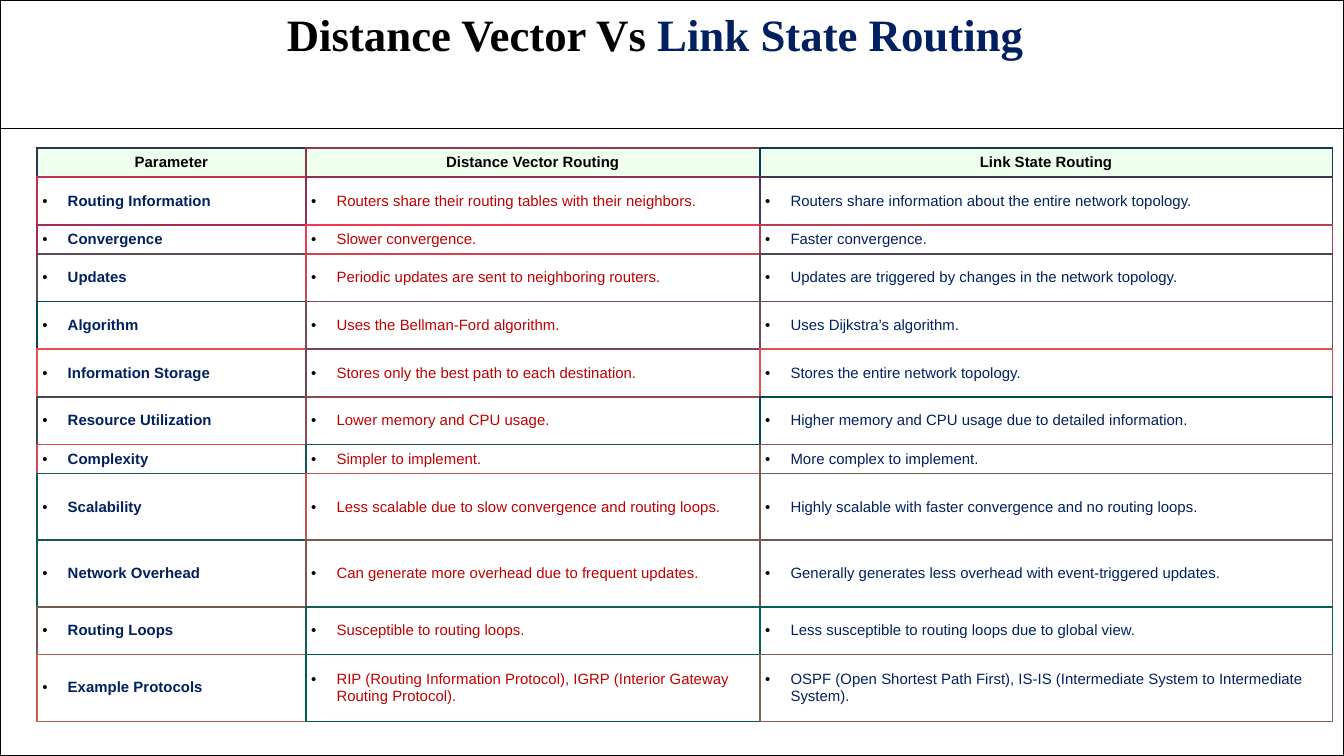
from dataclasses import dataclass

from lxml import etree
from pptx import Presentation
from pptx.dml.color import RGBColor
from pptx.enum.shapes import MSO_CONNECTOR, MSO_SHAPE
from pptx.enum.text import MSO_ANCHOR, PP_ALIGN
from pptx.oxml.ns import qn
from pptx.util import Cm, Pt

CENTER = PP_ALIGN.CENTER
MIDDLE = MSO_ANCHOR.MIDDLE
RECT = MSO_SHAPE.RECTANGLE
STRAIGHT = MSO_CONNECTOR.STRAIGHT

BLACK, WHITE, NAVY, RED, MINT = "000000", "FFFFFF", "002060", "C00000", "EEFFEE"
WIDTH, HEIGHT = Cm(25.4), Cm(14.29)
COL_WIDTHS = (5.08, 8.58, 10.82)
COL_COLORS = (NAVY, RED, NAVY)
SHORT, MEDIUM, TALL = 0.55, 0.9, 1.26
INNER_PT, OUTER_PT = 1, 0.6


@dataclass
class Row:
    height: float
    borders: tuple[str, str, str]  # left and top edge colour of each cell
    texts: tuple[str, str, str]


ROWS = [
    Row(SHORT, ("303352", "903652", "103852"),
        ("Parameter", "Distance Vector Routing", "Link State Routing")),
    Row(MEDIUM, ("C03352", "903052", "403852"),
        ("Routing Information",
         "Routers share their routing tables with their neighbors.",
         "Routers share information about the entire network topology.")),
    Row(SHORT, ("A02C52", "F03952", "B04052"),
        ("Convergence", "Slower convergence.", "Faster convergence.")),
    Row(MEDIUM, ("604B52", "D04452", "504652"),
        ("Updates",
         "Periodic updates are sent to neighboring routers.",
         "Updates are triggered by changes in the network topology.")),
    Row(MEDIUM, ("004B52", "705052", "704D52"),
        ("Algorithm", "Uses the Bellman-Ford algorithm.", "Uses Dijkstra’s algorithm.")),
    Row(MEDIUM, ("F04B52", "704752", "E04F52"),
        ("Information Storage",
         "Stores only the best path to each destination.",
         "Stores the entire network topology.")),
    Row(MEDIUM, ("404A52", "904852", "004B52"),
        ("Resource Utilization",
         "Lower memory and CPU usage.",
         "Higher memory and CPU usage due to detailed information.")),
    Row(SHORT, ("D04A52", "105652", "805B52"),
        ("Complexity", "Simpler to implement.", "More complex to implement.")),
    Row(TALL, ("105C52", "C05452", "705C52"),
        ("Scalability",
         "Less scalable due to slow convergence and routing loops.",
         "Highly scalable with faster convergence and no routing loops.")),
    Row(TALL, ("105C52", "805552", "705952"),
        ("Network Overhead",
         "Can generate more overhead due to frequent updates.",
         "Generally generates less overhead with event-triggered updates.")),
    Row(MEDIUM, ("705C52", "105F52", "006352"),
        ("Routing Loops",
         "Susceptible to routing loops.",
         "Less susceptible to routing loops due to global view.")),
    Row(TALL, ("C06052", "005D52", "806152"),
        ("Example Protocols",
         "RIP (Routing Information Protocol), IGRP (Interior Gateway Routing Protocol).",
         "OSPF (Open Shortest Path First), IS-IS (Intermediate System to Intermediate System).")),
]


def rgb(color: str) -> RGBColor:
    return RGBColor.from_string(color)


def add_run(p, text: str, font: str, size: float, color: str, bold: bool) -> None:
    r = p.add_run()
    r.text = text
    r.font.name = font
    r.font.size = Pt(size)
    r.font.color.rgb = rgb(color)
    r.font.bold = bold


def set_bullet(p) -> None:
    pPr = p._p.get_or_add_pPr()
    pPr.set("marL", str(Cm(0.48)))
    pPr.set("indent", str(-Cm(0.48)))
    color = etree.SubElement(pPr, qn("a:buClr"))
    etree.SubElement(color, qn("a:srgbClr"), val=BLACK)
    etree.SubElement(pPr, qn("a:buFont"), typeface="Arial")
    etree.SubElement(pPr, qn("a:buChar"), char="•")


def add_border(cell, side: str, color: str, width: float) -> None:
    ln = etree.SubElement(cell._tc.get_or_add_tcPr(), qn(f"a:ln{side}"), w=str(Pt(width)))
    fill = etree.SubElement(ln, qn("a:solidFill"))
    etree.SubElement(fill, qn("a:srgbClr"), val=color)


def set_borders(cell, i: int, j: int) -> None:
    """Inner edges take the colour of the next cell, outer ones their own."""
    own = ROWS[i].borders[j]
    right, bottom = (own, OUTER_PT), (own, OUTER_PT)
    if j + 1 < len(COL_WIDTHS):
        right = (ROWS[i].borders[j + 1], INNER_PT)
    if i + 1 < len(ROWS):
        bottom = (ROWS[i + 1].borders[j], INNER_PT)
    add_border(cell, "L", own, INNER_PT)
    add_border(cell, "R", *right)
    add_border(cell, "T", own, INNER_PT)
    add_border(cell, "B", *bottom)


def fill_cell(cell, i: int, j: int) -> None:
    header = i == 0
    set_borders(cell, i, j)
    cell.fill.solid()
    cell.fill.fore_color.rgb = rgb(MINT if header else WHITE)
    cell.vertical_anchor = MIDDLE
    cell.margin_left = cell.margin_right = Cm(0.1)
    cell.margin_top = cell.margin_bottom = Cm(0.1)
    p = cell.text_frame.paragraphs[0]
    if header:
        p.alignment = CENTER
    else:
        set_bullet(p)
    color = BLACK if header else COL_COLORS[j]
    add_run(p, ROWS[i].texts[j], "Arial", 8, color, header or j == 0)


def add_frame(s) -> None:
    sp = s.shapes.add_shape(RECT, 0, 0, WIDTH, HEIGHT)
    sp.shadow.inherit = False
    sp.fill.background()
    sp.line.color.rgb = rgb(BLACK)
    sp.line.width = Pt(1)
    rule = s.shapes.add_connector(STRAIGHT, 0, Cm(2.43), WIDTH, Cm(2.43))
    rule.line.color.rgb = rgb(BLACK)
    rule.line.width = Pt(1)
    etree.SubElement(rule._element.spPr, qn("a:effectLst"))


def add_title(s) -> None:
    tf = s.shapes.add_textbox(Cm(4.24), 0, Cm(15.44), Cm(1.27)).text_frame
    tf.word_wrap = True
    tf.margin_left, tf.margin_right = Cm(0.84), 0
    p = tf.paragraphs[0]
    p.alignment = CENTER
    add_run(p, "Distance Vector Vs ", "Times New Roman", 24, BLACK, True)
    add_run(p, "Link State Routing", "Times New Roman", 24, NAVY, True)


def add_comparison(s) -> None:
    table = s.shapes.add_table(
        len(ROWS), len(COL_WIDTHS), Cm(0.7), Cm(2.8),
        Cm(sum(COL_WIDTHS)), Cm(sum(row.height for row in ROWS))).table
    table.first_row = table.horz_banding = False
    for j, width in enumerate(COL_WIDTHS):
        table.columns[j].width = Cm(width)
    for i, row in enumerate(ROWS):
        table.rows[i].height = Cm(row.height)
        for j in range(len(COL_WIDTHS)):
            fill_cell(table.cell(i, j), i, j)


def main() -> None:
    prs = Presentation()
    prs.slide_width, prs.slide_height = WIDTH, HEIGHT
    s = prs.slides.add_slide(prs.slide_layouts[6])

    # Page frame and rule below the title
    add_frame(s)
    # Two-colour title
    add_title(s)
    # Comparison table
    add_comparison(s)

    prs.save("out.pptx")


if __name__ == "__main__":
    main()
